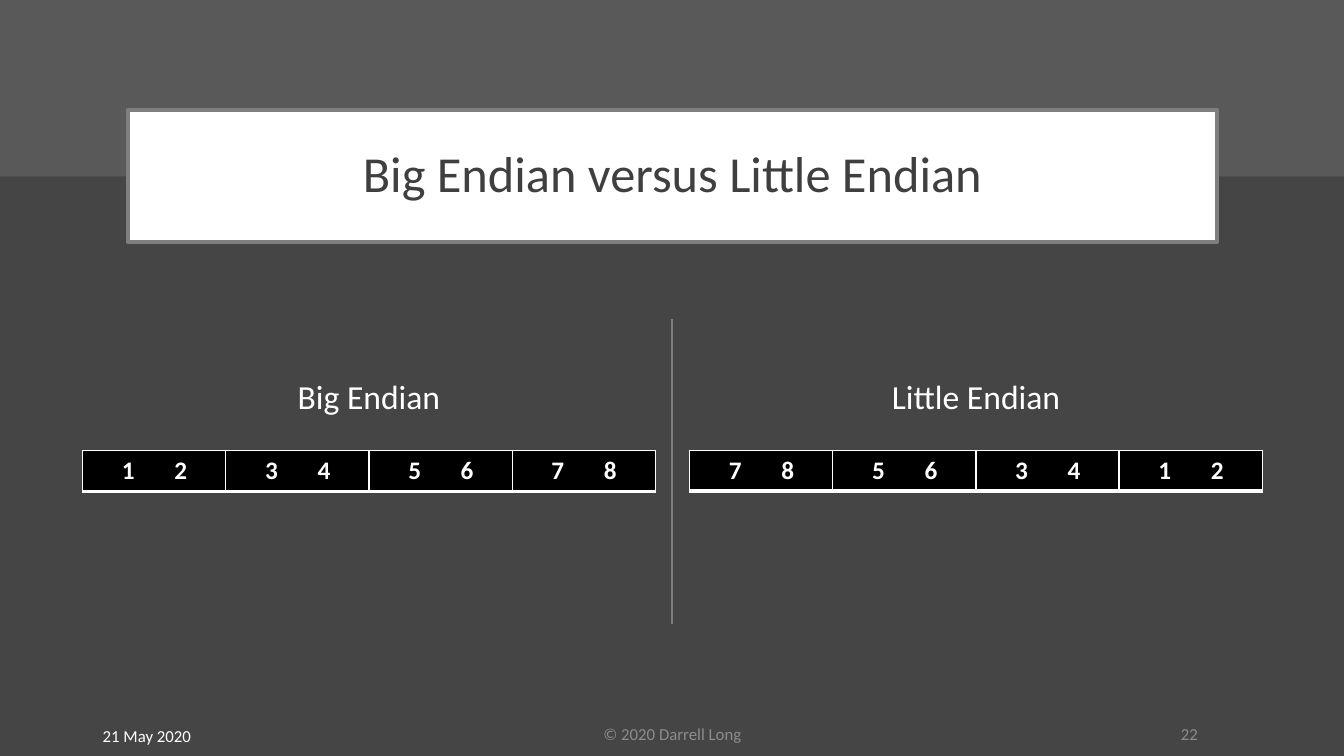
from lxml import etree
from pptx import Presentation, util as u
from pptx.dml.color import RGBColor
from pptx.enum import shapes, text
from pptx.oxml import ns

WIDTH, HEIGHT = 13.33, 7.5
BYTE_WIDTH, TABLE_TOP, ROW_HEIGHT = 1.42, 4.47, 0.4
LABEL_TOP, LABEL_HEIGHT = 3.68, 0.5
FOOTER_TOP, FOOTER_HEIGHT = 7.08, 0.4
DIGIT_INSET, DIGIT_PITCH = 0.39, 0.52
FONT = "Calibri"

BACKGROUND = RGBColor(0x45, 0x45, 0x45)
BAND = RGBColor(0x59, 0x59, 0x59)
RULE = RGBColor(0x7F, 0x7F, 0x7F)
TITLE_TEXT = RGBColor(0x3F, 0x3F, 0x3F)
FOOTER_TEXT = RGBColor(0x8C, 0x8C, 0x8C)
WHITE = RGBColor(0xFF, 0xFF, 0xFF)
BLACK = RGBColor(0, 0, 0)

BYTES = [("1", "2"), ("3", "4"), ("5", "6"), ("7", "8")]
LEFT, CENTER, RIGHT = text.PP_ALIGN.LEFT, text.PP_ALIGN.CENTER, text.PP_ALIGN.RIGHT


def box(left, top, width, height):
    return [u.Inches(length) for length in (left, top, width, height)]


def write(frame, words, size, color, align=LEFT, bold=False):
    frame.text = words
    paragraph = frame.paragraphs[0]
    paragraph.alignment = align
    for run in paragraph.runs:
        run.font.name = FONT
        run.font.size = u.Pt(size)
        run.font.bold = bold
        run.font.color.rgb = color
    return paragraph


def add_band(slide):
    band = slide.shapes.add_shape(shapes.MSO_SHAPE.RECTANGLE, *box(0, 0, WIDTH, 1.75))
    band.shadow.inherit = False
    band.fill.solid()
    band.fill.fore_color.rgb = BAND
    band.line.fill.background()
    # The band lies behind the title
    slide.shapes.element.insert(2, band.element)


def format_title(slide, words):
    title = slide.shapes.title
    title.left, title.top, title.width, title.height = box(1.27, 1.09, 10.8, 1.31)
    title.fill.solid()
    title.fill.fore_color.rgb = WHITE
    title.line.color.rgb = RULE
    title.line.width = u.Pt(3)
    paragraph = write(title.text_frame, words, 36, TITLE_TEXT, CENTER)
    paragraph.line_spacing = 0.9
    title.text_frame.vertical_anchor = text.MSO_ANCHOR.MIDDLE


def add_text(slide, area, words, size, color, align=LEFT, wrap=True):
    frame = slide.shapes.add_textbox(*box(*area)).text_frame
    frame.word_wrap = wrap
    frame.vertical_anchor = text.MSO_ANCHOR.MIDDLE
    write(frame, words, size, color, align)


def add_page_number(slide, number):
    shape = slide.shapes.add_shape(
        shapes.MSO_SHAPE.OVAL, *box(9.42, FOOTER_TOP, 3, FOOTER_HEIGHT))
    shape.shadow.inherit = False
    shape.fill.background()
    shape.line.fill.background()
    shape.text_frame.vertical_anchor = text.MSO_ANCHOR.MIDDLE
    write(shape.text_frame, number, 12, FOOTER_TEXT, RIGHT)


def add_borders(cell):
    properties = cell._tc.get_or_add_tcPr()
    for side, points in (("lnL", 1), ("lnR", 1), ("lnT", 1), ("lnB", 3)):
        line = etree.SubElement(properties, ns.qn("a:" + side), w=str(u.Pt(points)))
        fill = etree.SubElement(line, ns.qn("a:solidFill"))
        etree.SubElement(fill, ns.qn("a:srgbClr"), val=str(WHITE))


def add_digit_tab(paragraph):
    tabs = etree.SubElement(paragraph._p.get_or_add_pPr(), ns.qn("a:tabLst"))
    etree.SubElement(tabs, ns.qn("a:tab"), pos=str(u.Inches(DIGIT_PITCH)), algn="l")


def add_byte_order(slide, left, label, label_width, byte_order):
    """Draw a row of bytes with its label centred above it."""
    width = BYTE_WIDTH * len(byte_order)
    table = slide.shapes.add_table(
        1, len(byte_order), *box(left, TABLE_TOP, width, ROW_HEIGHT)).table
    for column, cell, digits in zip(table.columns, table.rows[0].cells, byte_order):
        column.width = u.Inches(BYTE_WIDTH)
        add_borders(cell)
        cell.fill.solid()
        cell.fill.fore_color.rgb = BLACK
        cell.margin_left = u.Inches(DIGIT_INSET)
        paragraph = write(cell.text_frame, "\t".join(digits), 18, WHITE, bold=True)
        add_digit_tab(paragraph)
    label_left = left + (width - label_width) / 2
    add_text(slide, (label_left, LABEL_TOP, label_width, LABEL_HEIGHT),
             label, 24, WHITE, CENTER, wrap=False)


def add_divider(slide):
    middle = u.Inches(WIDTH / 2)
    divider = slide.shapes.add_connector(
        shapes.MSO_CONNECTOR.STRAIGHT, middle, u.Inches(3.16), middle, u.Inches(6.19))
    divider.line.color.rgb = RULE
    divider.line.width = u.Pt(1.5)
    etree.SubElement(divider.element.spPr, ns.qn("a:effectLst"))


def main():
    presentation = Presentation()
    presentation.slide_width = u.Inches(WIDTH)
    presentation.slide_height = u.Inches(HEIGHT)
    slide = presentation.slides.add_slide(presentation.slide_layouts[5])
    slide.background.fill.solid()
    slide.background.fill.fore_color.rgb = BACKGROUND

    add_band(slide)
    format_title(slide, "Big Endian versus Little Endian")
    add_byte_order(slide, 0.82, "Big Endian", 1.67, BYTES)
    add_divider(slide)
    add_byte_order(slide, 6.84, "Little Endian", 1.95, BYTES[::-1])
    add_text(slide, (0.92, 7.1, 3, FOOTER_HEIGHT), "21 May 2020", 12, WHITE)
    add_text(slide, (4.42, FOOTER_TOP, 4.5, FOOTER_HEIGHT),
             "© 2020 Darrell Long", 12, FOOTER_TEXT, CENTER)
    add_page_number(slide, "22")
    presentation.save("out.pptx")


if __name__ == "__main__":
    main()
